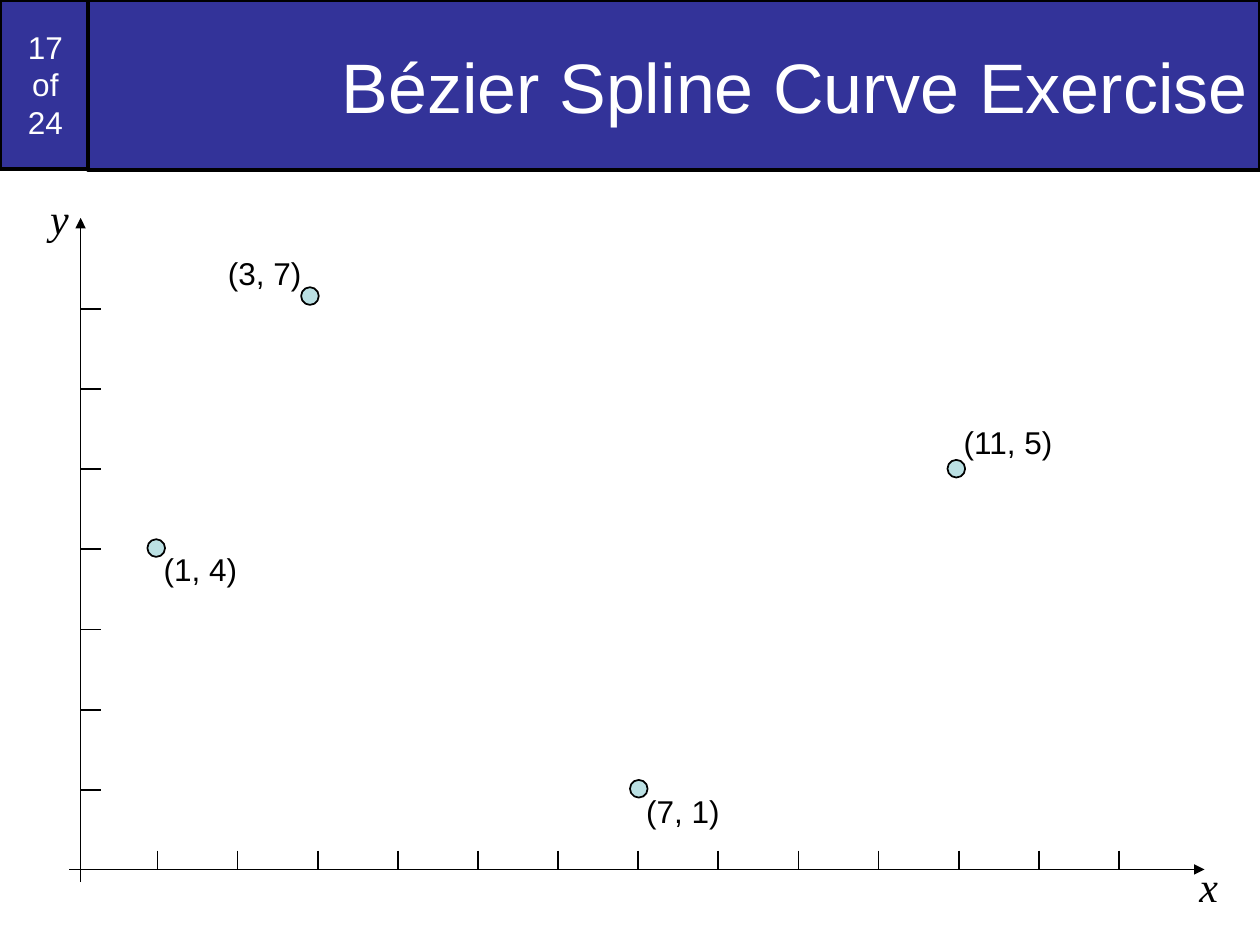
from pptx import Presentation
from pptx import util as u
from pptx.dml.color import RGBColor
from pptx.enum import shapes, text
from pptx.oxml.ns import qn
from lxml import etree

Inches, Pt = u.Inches, u.Pt
COLORS = {name: RGBColor.from_string(value) for name, value in {
    "banner": "333399", "ink": "000000", "paper": "FFFFFF", "point": "BBE0E3",
}.items()}

deck = Presentation()
deck.slide_width, deck.slide_height = Inches(10), Inches(7.5)
slide = deck.slides.add_slide(deck.slide_layouts[5])


def write(holder, words, size, color, font="Arial", italic=False, align=text.PP_ALIGN.LEFT):
    frame = holder.text_frame
    frame.text = words
    frame.margin_left = frame.margin_right = Inches(0.1)
    frame.margin_top = frame.margin_bottom = Inches(0.05)
    paragraph = frame.paragraphs[0]
    paragraph.alignment = align
    for run in paragraph.runs:
        run.font.size, run.font.name, run.font.italic = Pt(size), font, italic
        run.font.color.rgb = COLORS[color]


def draw_line(x1, y1, x2, y2, arrow=False):
    stroke = slide.shapes.add_connector(
        shapes.MSO_CONNECTOR.STRAIGHT, Inches(x1), Inches(y1), Inches(x2), Inches(y2))
    stroke.line.color.rgb = COLORS["ink"]
    stroke.line.width = Pt(1)
    if arrow:
        etree.SubElement(stroke.line._get_or_add_ln(), qn("a:tailEnd"), type="triangle")
    etree.SubElement(stroke._element.spPr, qn("a:effectLst"))


page = slide.shapes.add_shape(
    shapes.MSO_SHAPE.RECTANGLE, Inches(0), Inches(0), Inches(0.72), Inches(1.34))
page.shadow.inherit = False
title = slide.shapes.title
title.left, title.top, title.width, title.height = (
    Inches(0.7), Inches(0), Inches(9.3), Inches(1.35))
slide.shapes._spTree.append(title._element)
for banner, words, size, align in [
    (page, "17\vof\v24", 18, text.PP_ALIGN.CENTER),
    (title, "Bézier Spline Curve Exercise", 40, text.PP_ALIGN.RIGHT),
]:
    banner.fill.solid()
    banner.fill.fore_color.rgb = COLORS["banner"]
    banner.line.color.rgb = COLORS["ink"]
    banner.line.width = Pt(2)
    write(banner, words, size, "paper", align=align)
    banner.text_frame.word_wrap = True
    banner.text_frame.auto_size = text.MSO_AUTO_SIZE.NONE
    banner.text_frame.vertical_anchor = text.MSO_ANCHOR.MIDDLE

draw_line(0.64, 7, 0.64, 1.73, arrow=True)
draw_line(0.55, 6.9, 9.56, 6.9, arrow=True)
for step in range(7):
    tick_y = 6.27 - 3.82 / 6 * step
    draw_line(0.64, tick_y, 0.8, tick_y)
for step in range(13):
    tick_x = 1.25 + 7.63 / 12 * step
    draw_line(tick_x, 6.75, tick_x, 6.9)

for x, y in [(1.17, 4.28), (2.39, 2.28), (5, 6.19), (7.52, 3.65)]:
    control_point = slide.shapes.add_shape(
        shapes.MSO_SHAPE.OVAL, Inches(x), Inches(y), Inches(0.14), Inches(0.14))
    control_point.shadow.inherit = False
    control_point.fill.solid()
    control_point.fill.fore_color.rgb = COLORS["point"]
    control_point.line.color.rgb = COLORS["ink"]
    control_point.line.width = Pt(1)

coordinate = (0.4, 18, "Arial", False)
axis_name = (0.5, 24, "Times New Roman", True)
for words, x, y, width, (height, size, font, italic) in [
    ("(1, 4)", 1.2, 4.32, 0.82, coordinate),
    ("(3, 7)", 1.71, 1.97, 0.82, coordinate),
    ("(7, 1)", 5.03, 6.24, 0.82, coordinate),
    ("(11, 5)", 7.55, 3.31, 0.96, coordinate),
    ("y", 0.3, 1.48, 0.35, axis_name),
    ("x", 9.42, 6.78, 0.35, axis_name),
]:
    label = slide.shapes.add_textbox(Inches(x), Inches(y), Inches(width), Inches(height))
    write(label, words, size, "ink", font, italic)
    label.text_frame.word_wrap = False
    label.text_frame.auto_size = text.MSO_AUTO_SIZE.SHAPE_TO_FIT_TEXT

deck.save("out.pptx")
